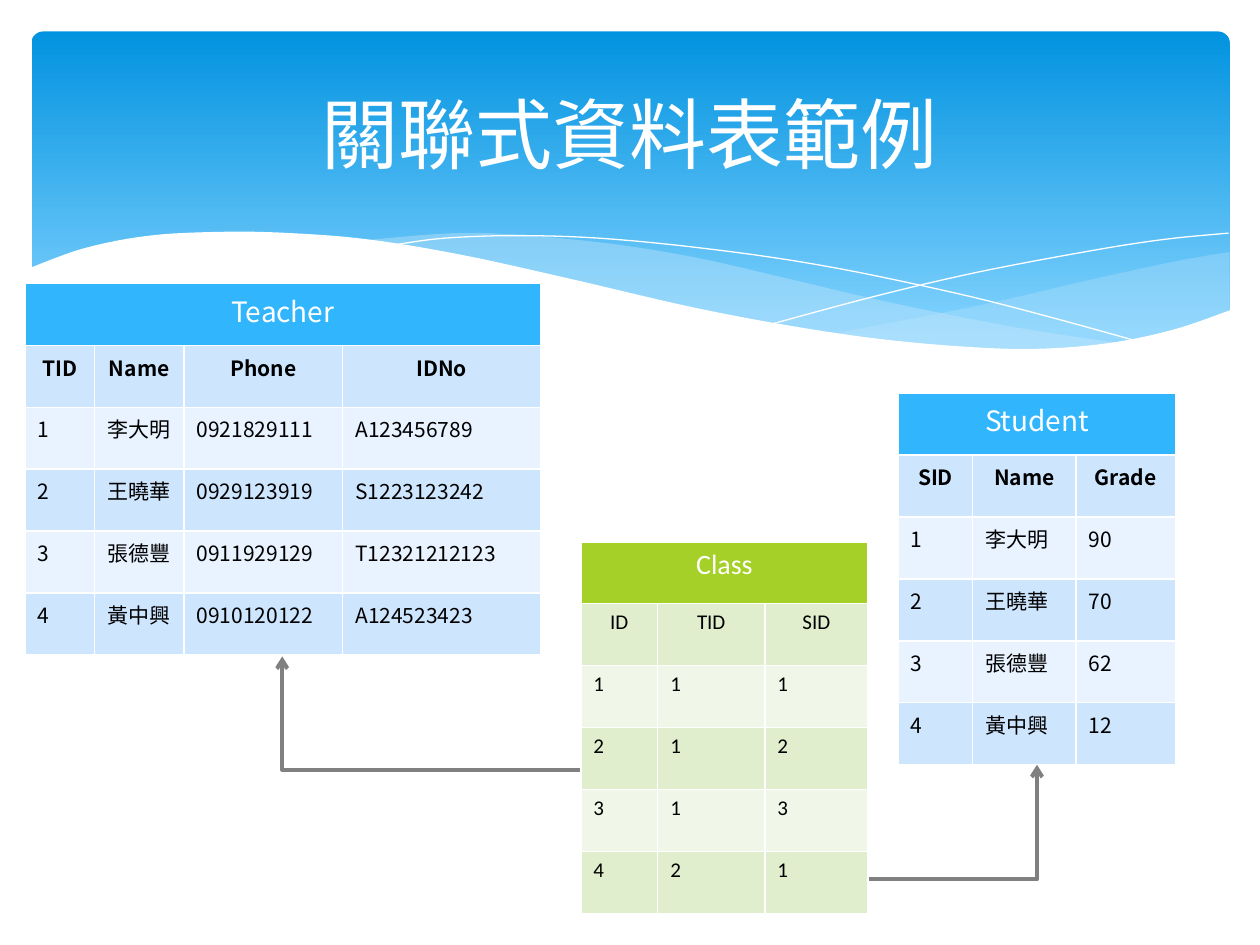
from lxml.etree import SubElement
from pptx import Presentation
from pptx.dml.color import RGBColor
from pptx.enum.shapes import MSO_CONNECTOR as Link, MSO_SHAPE as Preset
from pptx.enum.text import MSO_ANCHOR as Anchor, PP_ALIGN as Align
from pptx.oxml.ns import qn
from pptx.util import Inches, Pt

CJK = "Noto Sans CJK SC"
BLUE = ("31B6FD", "CEE5FE", "E8F3FF")  # header, dark band, light band
GREEN = ("A5D028", "E1EECD", "F0F7E8")
color = RGBColor.from_string


def write(frame, text, size, font, hex_color, align, bold=False):
    para = frame.paragraphs[0]
    para.alignment = align
    span = para.add_run()
    span.text = text
    span.font.size, span.font.bold, span.font.name = Pt(size), bold, font
    span.font.color.rgb = color(hex_color)
    SubElement(span.font._element, qn("a:ea")).set("typeface", font)


def smooth(knots, steps=6):
    """Catmull-Rom curve through the knots, in EMU."""
    padded = [knots[0], *knots, knots[-1]]
    points = [knots[0]]
    for a, b, c, d in zip(padded, padded[1:], padded[2:], padded[3:]):
        for t in (step / steps for step in range(1, steps + 1)):
            points.append(tuple(
                (2 * q + (r - p) * t + (2 * p - 5 * q + 4 * r - s) * t**2
                 + (3 * q - p - 3 * r + s) * t**3) / 2
                for p, q, r, s in zip(a, b, c, d)))
    return [(Inches(x), Inches(y)) for x, y in points]


deck = Presentation()
deck.slide_width, deck.slide_height = Inches(10), Inches(7.5)
page = deck.slides.add_slide(deck.slide_layouts[5])
shapes = page.shapes

# Banner
banner = shapes.add_shape(Preset.ROUNDED_RECTANGLE, Inches(0.25), Inches(0.25),
                          Inches(9.51), Inches(2.7))
banner.adjustments[0] = 0.034
banner.shadow.inherit = False
banner.line.fill.background()
banner.fill.gradient()
banner.fill.gradient_angle = 270
for stop, (position, shade) in zip(banner.fill.gradient_stops,
                                   [(0, "0293E0"), (0.9, "83D3FE")]):
    stop.position, stop.color.rgb = position, color(shade)

# Waves: smooth runs of knots, fill, opacity in percent; no fill means a thin line
waves = [
    ([[(9.76, 2), (9.35, 2.07), (8.61, 2.23), (7.79, 2.42), (6.61, 2.65)],
      [(6.61, 2.65), (7.32, 2.74), (8.03, 2.78), (8.63, 2.75), (9.21, 2.65), (9.76, 2.47)]],
     "C6E7FC", 29),
    ([[(8.93, 2.73), (8.07, 2.6), (7.06, 2.4), (6.29, 2.22), (5.55, 2.05), (4.89, 1.94),
       (4.2, 1.87), (3.61, 1.85), (2.86, 1.91)],
      [(2.86, 1.91), (3.62, 2.03), (4.49, 2.22), (5.66, 2.48), (6.5, 2.64), (7.22, 2.74),
       (7.96, 2.78), (8.48, 2.77), (8.93, 2.73)]],
     "C6E7FC", 40),
    ([[(3.09, 1.95), (3.53, 1.89), (4.16, 1.87), (4.89, 1.9), (5.82, 2), (6.65, 2.13),
       (7.6, 2.33), (8.31, 2.51), (9.07, 2.72)]], None, 100),
    ([[(6.13, 2.57), (6.95, 2.35), (7.76, 2.16), (8.66, 1.99), (9.24, 1.9), (9.75, 1.85)]],
     None, 100),
    ([[(9.77, 2.46), (9.3, 2.62), (8.75, 2.73), (8.09, 2.77), (7.26, 2.72), (6.48, 2.62),
       (5.55, 2.45), (4.47, 2.2), (3.65, 2.02), (2.92, 1.9), (2.3, 1.85), (1.77, 1.84),
       (1.19, 1.87), (0.67, 1.97), (0.23, 2.13)],
      [(0.23, 2.13), (0.23, 3.29)], [(0.23, 3.29), (9.77, 3.29)]],
     "FFFFFF", 100),
]
for runs, shade, opacity in waves:
    points = [point for run in runs for point in smooth(run)]
    builder = shapes.build_freeform(*points[0])
    builder.add_line_segments(points[1:], close=shade is not None)
    wave = builder.convert_to_shape()
    wave.shadow.inherit = False
    if shade:
        wave.line.fill.background()
        wave.fill.solid()
        wave.fill.fore_color.rgb = color(shade)
        fill_color = wave.element.spPr.find(f".//{qn('a:srgbClr')}")
        SubElement(fill_color, qn("a:alpha")).set("val", str(opacity * 1000))
    else:
        wave.fill.background()
        wave.line.color.rgb = color("FFFFFF")
        wave.line.width = Pt(0)

# Title, raised above the banner
title = shapes.title
title.left, title.top, title.width, title.height = map(Inches, (0.5, 0.37, 9, 1.37))
title.text_frame.vertical_anchor = Anchor.MIDDLE
write(title.text_frame, "關聯式資料表範例", 44, CJK, "FFFFFF", Align.CENTER)
title.element.getparent().append(title.element)

# Connectors: left, top, width, height of the bend, and its turn
bends = [
    (2.24, 5.21, 2.52, 0.9, {"rot": "10800000"}),
    (6.65, 6.07, 1.58, 0.91, {"flipV": "1"}),
]
for left, top, width, height, turn in bends:
    link = shapes.add_connector(Link.ELBOW, Inches(left), Inches(top),
                                Inches(left + width), Inches(top + height))
    link.line.color.rgb = color("808080")
    link.line.width = Pt(2.25)
    frame = link.element.spPr
    frame.find(qn("a:prstGeom")).set("prst", "bentConnector2")
    for name, value in turn.items():
        frame.find(qn("a:xfrm")).set(name, value)
    SubElement(frame.find(qn("a:ln")), qn("a:tailEnd")).set("type", "arrow")
    SubElement(frame, qn("a:effectLst"))

# Tables: name, left, top, column widths, palette, font, bold field names, rows
names = ["李大明", "王曉華", "張德豐", "黃中興"]
phones = ["0921829111", "0929123919", "0911929129", "0910120122"]
id_numbers = ["A123456789", "S1223123242", "T12321212123", "A124523423"]
keys = ["1", "2", "3", "4"]
tables = [
    ("Teacher", 0.2, 2.25, [0.55, 0.71, 1.26, 1.57], BLUE, CJK, True,
     [("TID", "Name", "Phone", "IDNo"), *zip(keys, names, phones, id_numbers)]),
    ("Student", 7.13, 3.12, [0.59, 0.82, 0.79], BLUE, CJK, True,
     [("SID", "Name", "Grade"), *zip(keys, names, ["90", "70", "62", "12"])]),
    ("Class", 4.61, 4.3, [0.61, 0.85, 0.82], GREEN, "Calibri", False,
     [("ID", "TID", "SID"), *zip(keys, "1112", "1231")]),
]
for name, left, top, widths, palette, font, bold, rows in tables:
    grid = shapes.add_table(len(rows) + 1, len(widths), Inches(left), Inches(top),
                            Inches(sum(widths)), Inches(2.95)).table
    for column, width in zip(grid.columns, widths):
        column.width = Inches(width)
    header = grid.cell(0, 0)
    header.merge(grid.cell(0, len(widths) - 1))
    header.fill.solid()
    header.fill.fore_color.rgb = color(palette[0])
    write(header.text_frame, name, 16, font, "FFFFFF", Align.CENTER)
    for r, row in enumerate(rows):
        for c, text in enumerate(row):
            cell = grid.cell(r + 1, c)
            cell.fill.solid()
            cell.fill.fore_color.rgb = color(palette[1 + r % 2])
            write(cell.text_frame, text, 12, font, "000000",
                  Align.LEFT if r else Align.CENTER, bold and r == 0)

deck.save("out.pptx")
